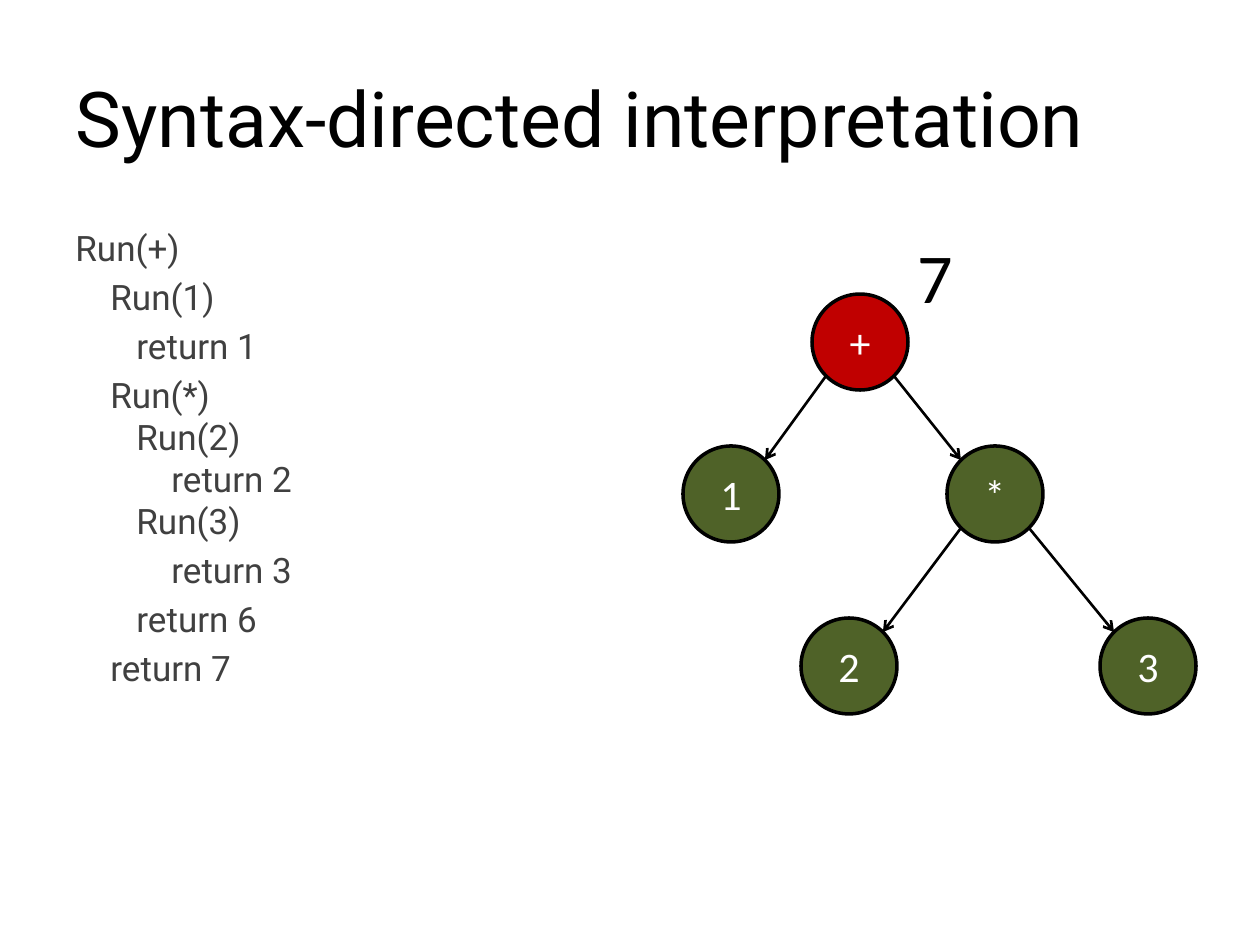
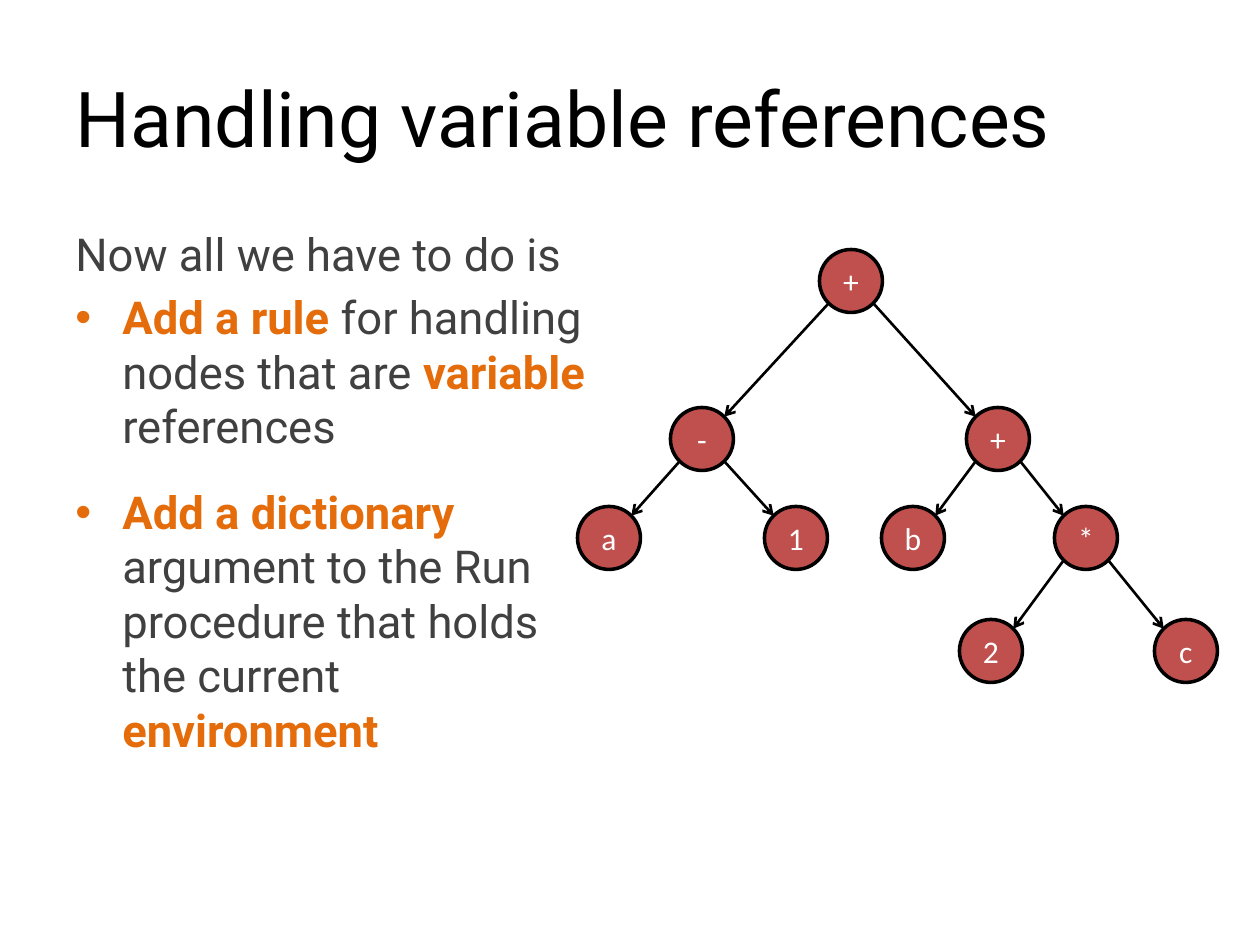
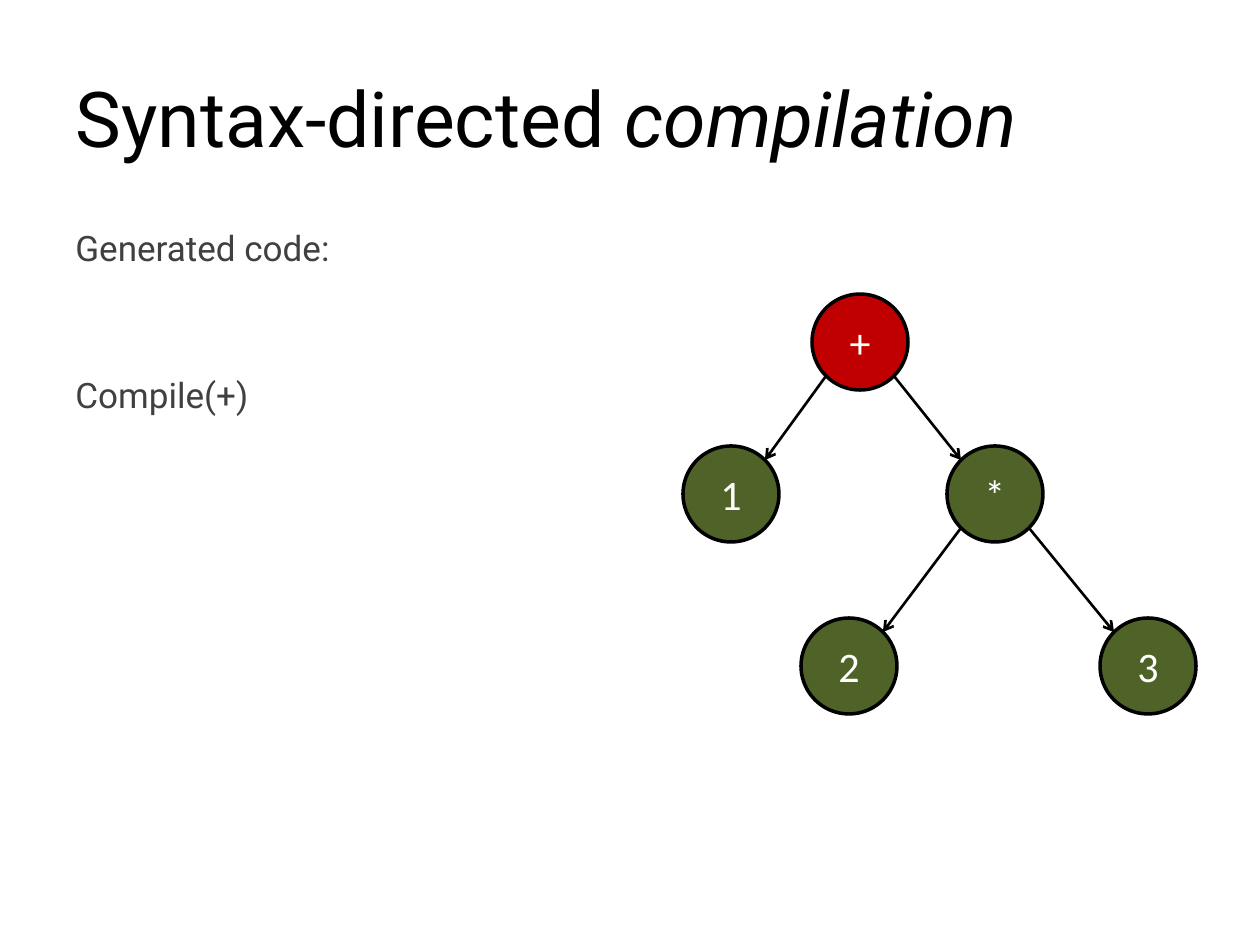
import math

from pptx import Presentation
from pptx import util as u
from pptx.dml import color
from pptx.enum import shapes, text
from pptx.oxml import ns
from lxml import etree

SCALE = u.Inches(1) / 126
WHITE, BLACK, GREY = "FFFFFF", "000000", "404040"
ORANGE, RED, GREEN, ROSE = "E46C0A", "C00000", "4F6228", "C0504D"
HEADING_FONT, NODE_FONT = "Roboto", "Calibri"
TITLE_BOX = (63, 38, 1134, 157)

PLAIN = {}
STRONG = {"hue": ORANGE, "bold": True}
ITALIC = {"italic": True}

SMALL_TREE_BOX = (682, 293, 515, 421)
SMALL_TREE = [
    ("+", None, 178, 49),
    ("1", 0, 49, 201),
    ("*", 0, 313, 201),
    ("2", 2, 167, 373),
    ("3", 2, 466, 373),
]
LARGE_TREE_BOX = (577, 249, 641, 434)
LARGE_TREE = [
    ("+", None, 274, 32),
    ("-", 0, 125, 190),
    ("+", 0, 421, 190),
    ("a", 1, 32, 289),
    ("1", 1, 219, 289),
    ("b", 2, 336, 289),
    ("*", 2, 509, 289),
    ("2", 6, 414, 402),
    ("c", 6, 609, 402),
]


def px(length):
    return u.Emu(round(length * SCALE))


def paint(hue):
    return color.RGBColor.from_string(hue)


def style(span, size, font, hue, bold=False, italic=False):
    span.font.size = u.Pt(size)
    span.font.name = font
    span.font.color.rgb = paint(hue)
    span.font.bold = bold
    span.font.italic = italic


def write(para, spans, size, font, hue):
    for words, look in spans:
        span = para.add_run()
        span.text = words
        style(span, size, font, **{"hue": hue, **look})


def indent(para, margin, bullet=False):
    properties = para._p.get_or_add_pPr()
    properties.set("marL", str(px(margin)))
    properties.set("indent", str(-px(margin) if bullet else 0))
    if bullet:
        etree.SubElement(properties, ns.qn("a:buFont")).set("typeface", "Arial")
        etree.SubElement(properties, ns.qn("a:buChar")).set("char", "•")


def add_page(deck, title):
    page = deck.slides.add_slide(deck.slide_layouts[5])
    heading = page.shapes.title
    heading.left, heading.top, heading.width, heading.height = map(px, TITLE_BOX)
    frame = heading.text_frame
    frame.auto_size = text.MSO_AUTO_SIZE.NONE
    frame.vertical_anchor = text.MSO_ANCHOR.MIDDLE
    para = frame.paragraphs[0]
    para.alignment = text.PP_ALIGN.LEFT
    write(para, title, 44, HEADING_FONT, BLACK)
    return page


def add_body(page, box, size, lines):
    frame = page.shapes.add_textbox(*map(px, box)).text_frame
    frame.word_wrap = True
    for number, (spans, margin, gap, bullet) in enumerate(lines):
        para = frame.add_paragraph() if number else frame.paragraphs[0]
        para.space_before = u.Pt(gap)
        indent(para, margin, bullet)
        write(para, spans, size, HEADING_FONT, GREY)


def add_code(page, box, lines):
    add_body(page, box, 20, [([(words, PLAIN)], margin, gap, False)
                             for words, margin, gap in lines])


def add_node(page, label, center, diameter, hue, size):
    left, top = (place - diameter / 2 for place in center)
    node = page.shapes.add_shape(shapes.MSO_SHAPE.OVAL,
                                 *map(px, (left, top, diameter, diameter)))
    node.shadow.inherit = False
    node.fill.solid()
    node.fill.fore_color.rgb = paint(hue)
    node.line.color.rgb = paint(BLACK)
    node.line.width = u.Pt(2)
    frame = node.text_frame
    frame.word_wrap = False
    frame.vertical_anchor = text.MSO_ANCHOR.MIDDLE
    para = frame.paragraphs[0]
    para.alignment = text.PP_ALIGN.CENTER
    write(para, [(label, PLAIN)], size, NODE_FONT, WHITE)


def add_arrow(page, parent, child, diameter):
    reach = diameter / 2 * math.sqrt(0.5)
    side = math.copysign(reach, child[0] - parent[0])
    ends = (parent[0] + side, parent[1] + reach, child[0] - side, child[1] - reach)
    arrow = page.shapes.add_connector(shapes.MSO_CONNECTOR.STRAIGHT, *map(px, ends))
    arrow.line.color.rgb = paint(BLACK)
    arrow.line.width = u.Pt(1.5)
    etree.SubElement(arrow.line._get_or_add_ln(), ns.qn("a:tailEnd")).set("type", "arrow")
    etree.SubElement(arrow._element.spPr, ns.qn("a:effectLst"))


def add_tree(page, box, nodes, diameter, size, root_hue, hue):
    centers = [(box[0] + x, box[1] + y) for _, _, x, y in nodes]
    for (label, parent, _, _), center in zip(nodes, centers):
        add_node(page, label, center, diameter,
                 root_hue if parent is None else hue, size)
    for (_, parent, _, _), center in zip(nodes, centers):
        if parent is not None:
            add_arrow(page, centers[parent], center, diameter)


def add_small_tree(page):
    add_tree(page, SMALL_TREE_BOX, SMALL_TREE, 96, 24, RED, GREEN)


def add_result(page, box, value):
    frame = page.shapes.add_textbox(*map(px, box)).text_frame
    frame.word_wrap = False
    write(frame.paragraphs[0], [(value, PLAIN)], 40, NODE_FONT, BLACK)


def interpretation_slide(deck):
    page = add_page(deck, [("Syntax-directed interpretation", PLAIN)])
    add_code(page, (63, 220, 462, 624), [
        ("Run(+)", 0, 0),
        ("Run(1)", 35, 4),
        ("return 1", 61, 4),
        ("Run(*)", 35, 4),
        ("Run(2)", 61, 0),
        ("return 2", 96, 0),
        ("Run(3)", 61, 0),
        ("return 3", 96, 4),
        ("return 6", 61, 4),
        ("return 7", 35, 4),
    ])
    add_small_tree(page)
    add_result(page, (905, 227, 62, 97), "7")


def variables_slide(deck):
    page = add_page(deck, [("Handling variable references", PLAIN)])
    add_body(page, (63, 220, 557, 525), 25.9, [
        ([("Now all we have to do is", PLAIN)], 0, 0, False),
        ([("Add a rule ", STRONG), ("for handling nodes that are ", PLAIN),
          ("variable ", STRONG), ("references", PLAIN)], 47, 5, True),
        ([("Add a dictionary ", STRONG),
          ("argument to the Run procedure that holds the current ", PLAIN),
          ("environment", STRONG)], 47, 18, True),
    ])
    add_tree(page, LARGE_TREE_BOX, LARGE_TREE, 63, 18, ROSE, ROSE)


def compilation_slide(deck):
    page = add_page(deck, [("Syntax-directed ", PLAIN), ("compilation", ITALIC)])
    add_code(page, (63, 220, 845, 624), [
        ("Generated code:", 0, 0),
        ("Compile(+)", 0, 60),
    ])
    add_small_tree(page)


def main():
    deck = Presentation()
    deck.slide_width, deck.slide_height = px(1260), px(945)
    interpretation_slide(deck)
    variables_slide(deck)
    compilation_slide(deck)
    deck.save("out.pptx")


if __name__ == "__main__":
    main()
